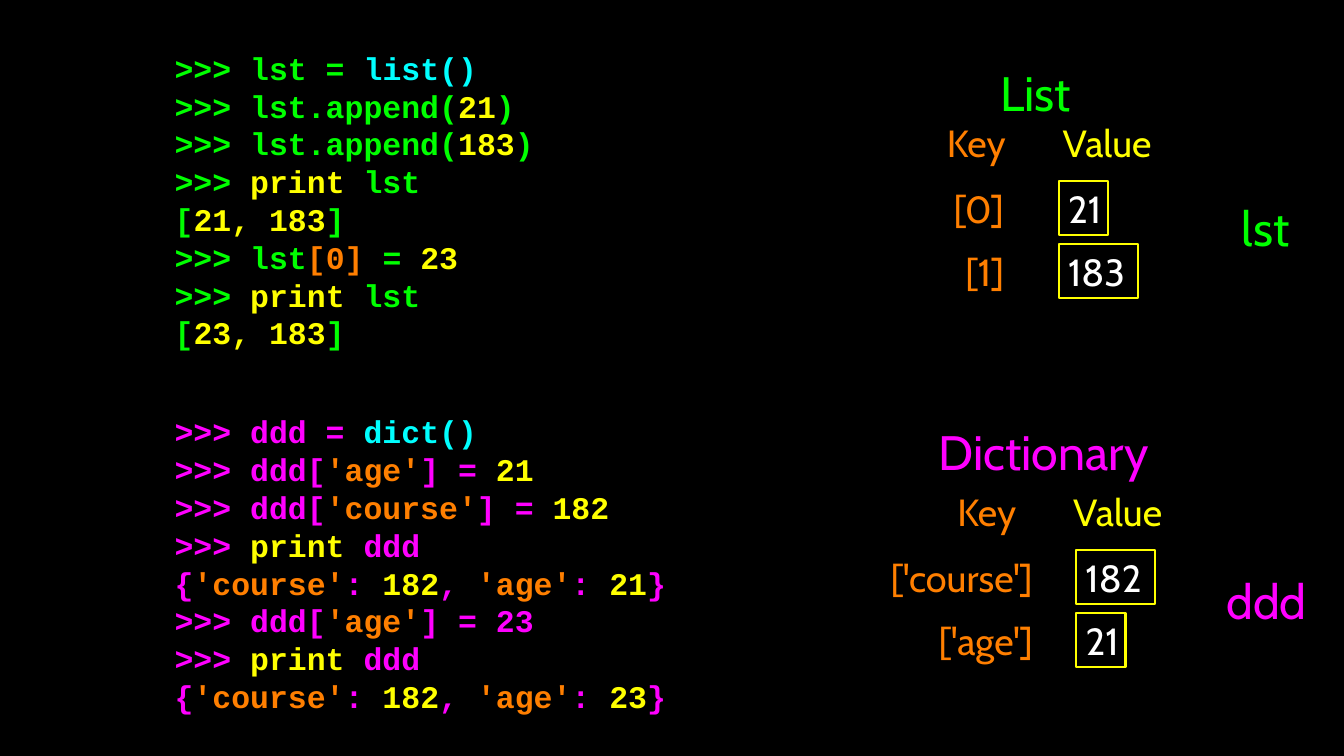
from typing import NamedTuple

import pptx
import pptx.dml.color
import pptx.enum.shapes
import pptx.enum.text
import pptx.util

Inches = pptx.util.Inches
Align = pptx.enum.text.PP_ALIGN

COLORS = {
    "background": "000000",
    "list": "00FF00",
    "dictionary": "FF00FF",
    "call": "00FFFF",
    "key": "FF7F00",
    "value": "FFFF00",
    "content": "FFFFFF",
}
TEXT_HEIGHT = 0.68
TITLE_HEIGHT = 0.85
BOX_HEIGHT = 0.71
ROW_STEP = 0.83


class Run(NamedTuple):
    """A piece of text with the name of its colour."""
    text: str
    color: str


class Box(NamedTuple):
    """A rectangle in inches."""
    left: float
    top: float
    width: float
    height: float


class Entry(NamedTuple):
    """A key and its boxed value."""
    key: str
    key_width: float
    value: str
    value_width: float


class Panel(NamedTuple):
    """One half of the slide: a session and a table of keys and values."""
    color: str
    code_box: Box
    code: list
    title: str
    title_box: Box
    variable: str
    variable_box: Box
    header_left: float
    header_top: float
    key_right: float
    value_left: float
    rows_top: float
    entries: list


def key(text: str) -> Run:
    """Return a run in the key colour."""
    return Run(text, "key")


def value(text: str) -> Run:
    """Return a run in the value colour."""
    return Run(text, "value")


def rgb(name: str) -> pptx.dml.color.RGBColor:
    """Return the named colour."""
    return pptx.dml.color.RGBColor.from_string(COLORS[name])


def write_text(shape, lines: list, *, color: str, size: int = 36, font: str = "Cabin",
               bold: bool = False, align=Align.LEFT, inset: float = 0,
               spacing: int | None = None, wrap: bool = False) -> None:
    """Fill a shape with lines of pieces; a plain string takes the base colour."""
    frame = shape.text_frame
    frame.word_wrap = wrap
    frame.vertical_anchor = pptx.enum.text.MSO_ANCHOR.MIDDLE
    frame.margin_left = Inches(inset)
    frame.margin_right = frame.margin_top = frame.margin_bottom = 0
    for index, line in enumerate(lines):
        paragraph = frame.add_paragraph() if index else frame.paragraphs[0]
        paragraph.alignment = align
        if spacing:
            paragraph.line_spacing = pptx.util.Pt(spacing)
        for piece in line:
            part = piece if isinstance(piece, Run) else Run(piece, color)
            run = paragraph.add_run()
            run.text = part.text
            run.font.name = font
            run.font.size = pptx.util.Pt(size)
            run.font.bold = bold
            run.font.color.rgb = rgb(part.color)


def add_text(slide, box: Box, lines: list, **text_format) -> None:
    """Add a text box."""
    shape = slide.shapes.add_textbox(*map(Inches, box))
    write_text(shape, lines, **text_format)


def add_value_box(slide, box: Box, text: str) -> None:
    """Add an outlined box that holds a value."""
    shape = slide.shapes.add_shape(
        pptx.enum.shapes.MSO_SHAPE.RECTANGLE, *map(Inches, box))
    shape.shadow.inherit = False
    shape.fill.background()
    shape.line.color.rgb = rgb("value")
    shape.line.width = pptx.util.Pt(2)
    write_text(shape, [[text]], color="content", inset=0.12)


def add_panel(slide, panel: Panel) -> None:
    """Draw a session with its table of keys and values."""
    add_text(slide, panel.code_box, panel.code, color=panel.color, size=30,
             font="Courier New", bold=True, spacing=36, wrap=True)
    for text, box in ((panel.title, panel.title_box), (panel.variable, panel.variable_box)):
        add_text(slide, box, [[text]], color=panel.color, size=46, align=Align.CENTER)
    for text, offset, width in (("Key", 0, 0.87), ("Value", 1.56, 1.21)):
        box = Box(panel.header_left + offset, panel.header_top, width, TEXT_HEIGHT)
        add_text(slide, box, [[text]], color=text.lower(), align=Align.CENTER)
    for row, entry in enumerate(panel.entries):
        top = panel.rows_top + row * ROW_STEP
        key_box = Box(panel.key_right - entry.key_width, top + 0.02,
                      entry.key_width, TEXT_HEIGHT)
        add_text(slide, key_box, [[entry.key]], color="key", align=Align.RIGHT)
        add_value_box(slide, Box(panel.value_left, top, entry.value_width, BOX_HEIGHT),
                      entry.value)


def dictionary_output(age: str) -> list:
    """Return the printed dictionary as coloured pieces."""
    return ["{", key("'course'"), ": ", value("182"), ", ",
            key("'age'"), ": ", value(age), "}"]


PRINT_LIST = [">>> ", value("print"), " lst"]
PRINT_DICTIONARY = [">>> ", value("print"), " ddd"]

PANELS = [
    Panel(
        color="list", code_box=Box(2.31, 0.49, 6.22, 4.31),
        code=[
            [">>> lst = ", Run("list()", "call")],
            [">>> lst.append(", value("21"), ")"],
            [">>> lst.append(", value("183"), ")"],
            PRINT_LIST,
            ["[", value("21, 183"), "]"],
            [">>> lst", key("[0]"), " = ", value("23")],
            PRINT_LIST,
            ["[", value("23, 183"), "]"],
        ],
        title="List", title_box=Box(13.18, 0.79, 1.04, TITLE_HEIGHT),
        variable="lst", variable_box=Box(16.39, 2.58, 0.71, TITLE_HEIGHT),
        header_left=12.48, header_top=1.54,
        key_right=13.28, value_left=14.01, rows_top=2.4,
        entries=[Entry("[0]", 0.71, "21", 0.65), Entry("[1]", 0.71, "183", 1.04)],
    ),
    Panel(
        color="dictionary", code_box=Box(2.31, 5.3, 6.8, 4.31),
        code=[
            [">>> ddd = ", Run("dict()", "call")],
            [">>> ddd[", key("'age'"), "] = ", value("21")],
            [">>> ddd[", key("'course'"), "] = ", value("182")],
            PRINT_DICTIONARY,
            dictionary_output("21"),
            [">>> ddd[", key("'age'"), "] = 23"],
            PRINT_DICTIONARY,
            dictionary_output("23"),
        ],
        title="Dictionary", title_box=Box(12.37, 5.54, 2.87, TITLE_HEIGHT),
        variable="ddd", variable_box=Box(16.21, 7.51, 1.09, TITLE_HEIGHT),
        header_left=12.62, header_top=6.42,
        key_right=13.66, value_left=14.24, rows_top=7.28,
        entries=[Entry("['course']", 2.02, "182", 1.04), Entry("['age']", 1.31, "21", 0.65)],
    ),
]

presentation = pptx.Presentation()
presentation.slide_width = Inches(17.78)
presentation.slide_height = Inches(10)
slide = presentation.slides.add_slide(presentation.slide_layouts[6])
slide.background.fill.solid()
slide.background.fill.fore_color.rgb = rgb("background")
for panel in PANELS:
    add_panel(slide, panel)
presentation.save("out.pptx")
